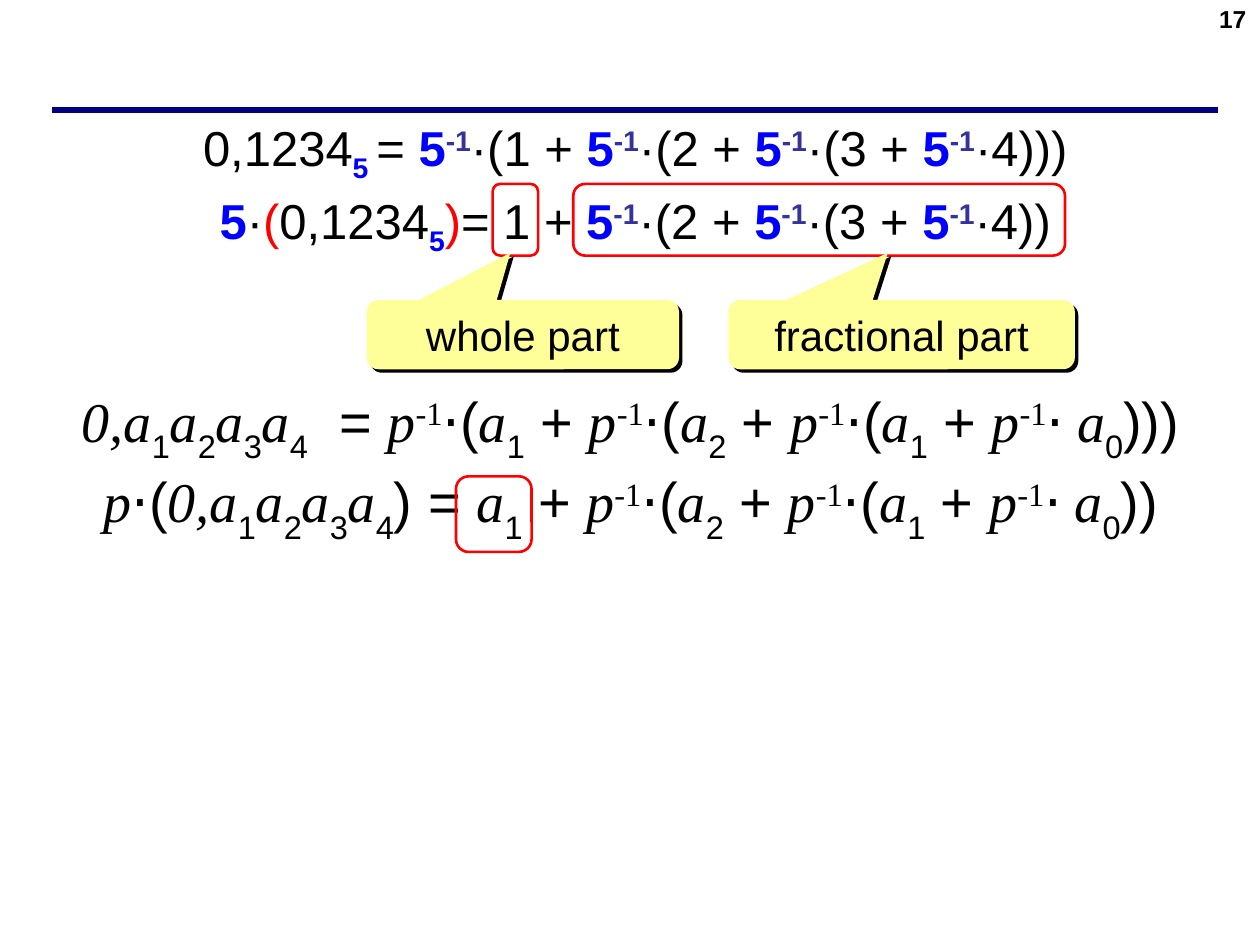
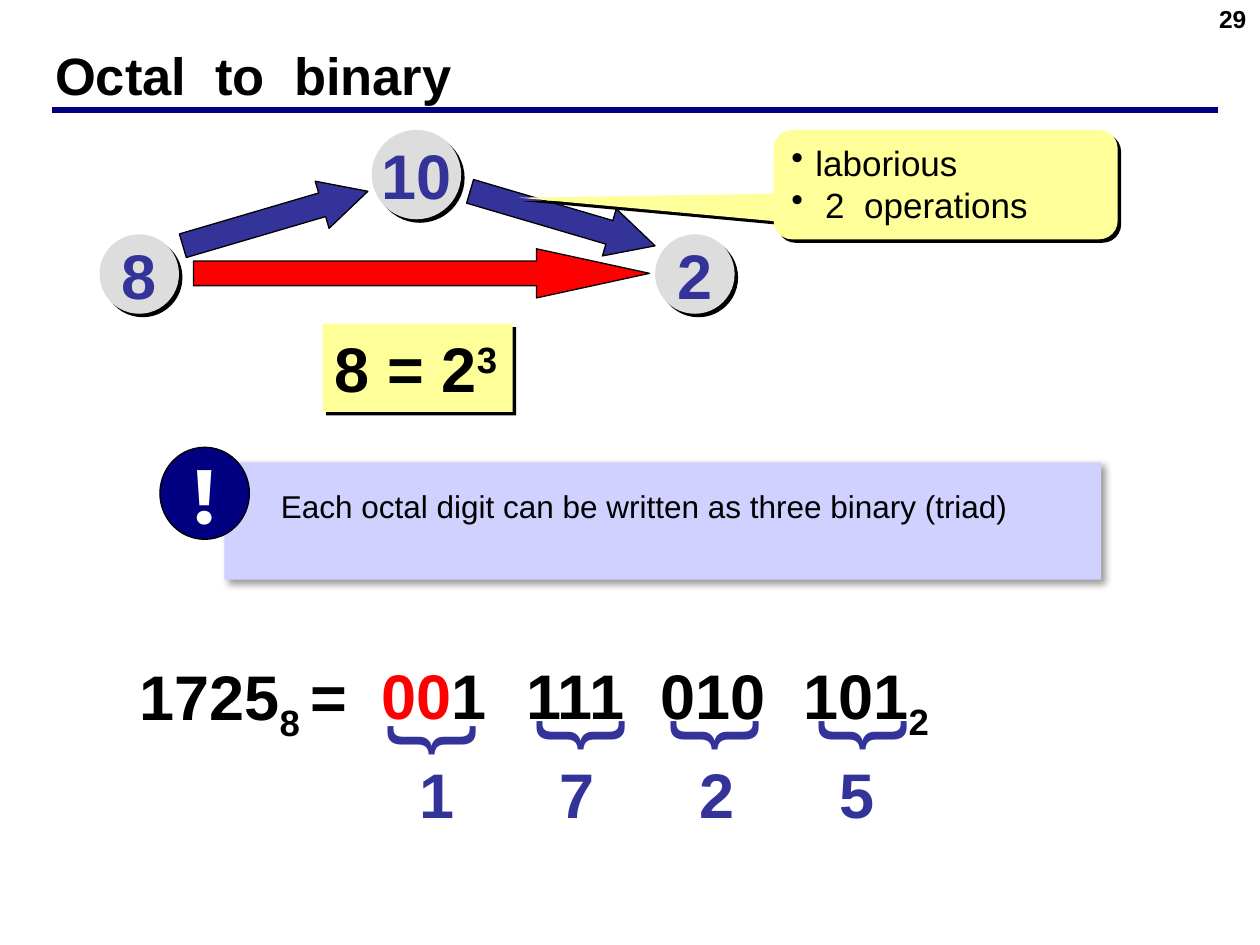
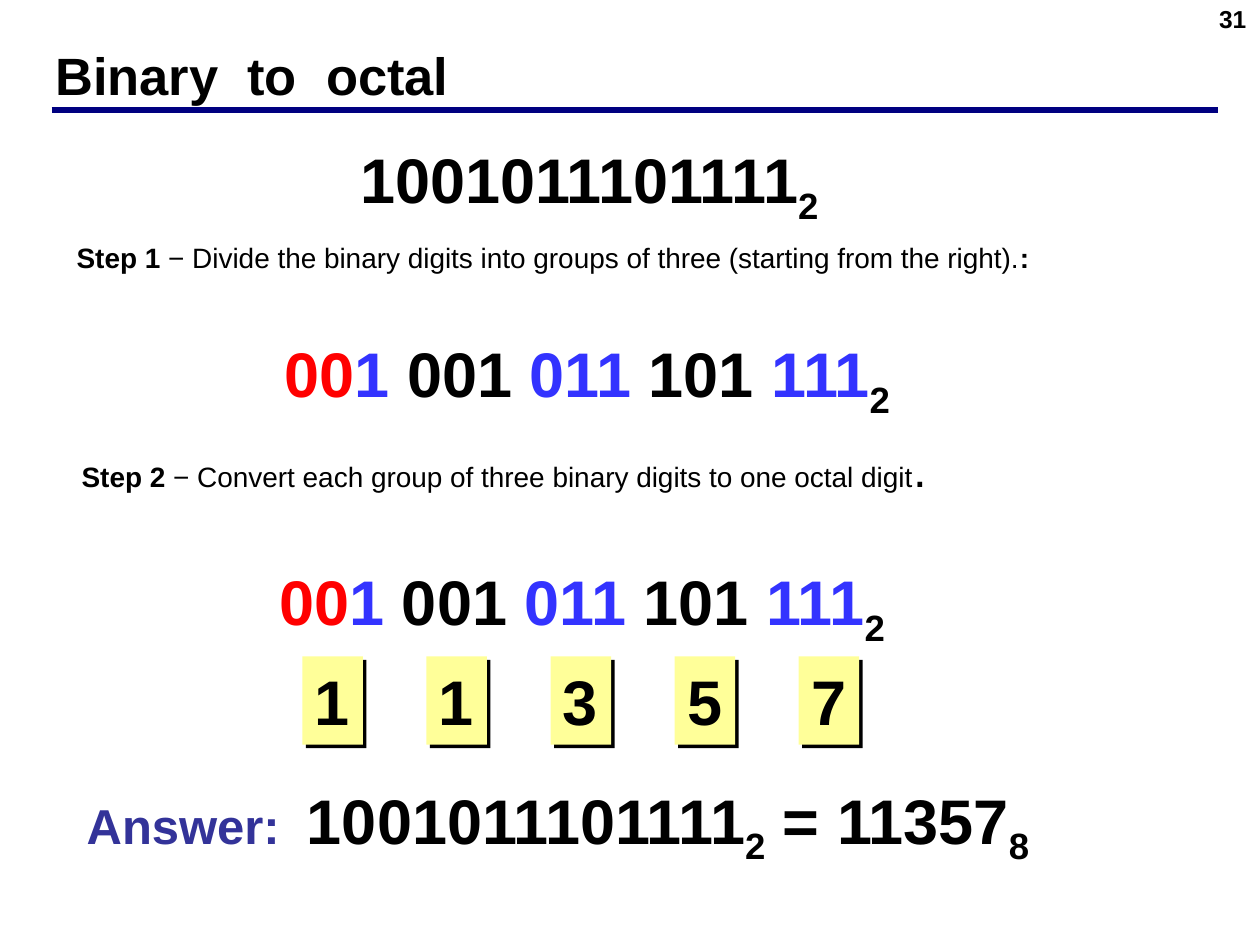
"""Build three slides on converting numbers between positional systems."""
from lxml.etree import SubElement
from pptx import Presentation
from pptx.dml.color import RGBColor
from pptx.enum.shapes import MSO_CONNECTOR, MSO_SHAPE as SHAPE
from pptx.enum.text import MSO_ANCHOR as ANCHOR, PP_ALIGN as ALIGN
from pptx.oxml.ns import qn
from pptx.util import Pt

rgb = RGBColor.from_string
BLACK, WHITE, RED, BLUE = "000000", "FFFFFF", "FF0000", "0000FF"
NAVY, INDIGO, BRIGHT = "000080", "333399", "3333FF"
YELLOW, GREY, LILAC = "FFFF99", "DDDDDD", "D1D1FF"
HARD, SOFT = (100, 0, 2.8), (40, 4, 3)


def box(s, x, y, w, h, kind=None, fill=None, line=None, weight=0.75, shadow=None, adj=(), rot=0):
    """Add a text box, or a preset shape when a kind is given."""
    size = Pt(x), Pt(y), Pt(w), Pt(h)
    if kind is None:
        sp = s.shapes.add_textbox(*size)
    else:
        sp = s.shapes.add_shape(kind, *size)
        sp.shadow.inherit = False
        for i, value in enumerate(adj):
            sp.adjustments[i] = value
        if fill:
            sp.fill.solid()
            sp.fill.fore_color.rgb = rgb(fill)
        else:
            sp.fill.background()
        if line:
            sp.line.color.rgb = rgb(line)
            sp.line.width = Pt(weight)
        else:
            sp.line.fill.background()
    if shadow:
        alpha, blur, dist = shadow
        effects = sp._element.spPr.find(qn("a:effectLst"))
        outer = SubElement(effects, qn("a:outerShdw"), blurRad=str(Pt(blur)), dist=str(Pt(dist)),
                           dir="2700000", algn="ctr", rotWithShape="0")
        color = SubElement(outer, qn("a:srgbClr"), val=BLACK)
        SubElement(color, qn("a:alpha"), val=str(alpha * 1000))
    sp.rotation = rot
    return sp


def write(sp, text, align=ALIGN.LEFT, anchor=ANCHOR.TOP, wrap=True, inset=None, bullet=0, tabs=(), **fmt):
    """Write lines of text, each a string or a list of (text, format) runs."""
    tf = sp.text_frame
    tf.word_wrap = wrap
    tf.vertical_anchor = anchor
    if inset is not None:
        tf.margin_left = tf.margin_right = Pt(inset)
        tf.margin_top = tf.margin_bottom = 0
    for i, line in enumerate(text if isinstance(text, tuple) else (text,)):
        p = tf.add_paragraph() if i else tf.paragraphs[0]
        p.alignment = align
        pPr = p._p.get_or_add_pPr()
        if bullet:
            pPr.set("marL", str(Pt(bullet)))
            pPr.set("indent", str(-Pt(bullet)))
            SubElement(pPr, qn("a:buChar"), char="•")
        if tabs:
            stops = SubElement(pPr, qn("a:tabLst"))
            for tab in tabs:
                SubElement(stops, qn("a:tab"), pos=str(Pt(tab)), algn="l")
        for part, own in [(line, {})] if isinstance(line, str) else line:
            f = {"size": 36, "color": BLACK, "bold": False, "italic": False, "font": "Arial", "base": 0} | fmt | own
            r = p.add_run()
            r.text = part
            r.font.size, r.font.name = Pt(f["size"]), f["font"]
            r.font.bold, r.font.italic = f["bold"], f["italic"]
            r.font.color.rgb = rgb(f["color"])
            if f["base"]:
                r.font._element.set("baseline", str(f["base"] * 1000))


prs = Presentation()
prs.slide_width, prs.slide_height = Pt(720), Pt(540)
slides = []
for number, title in (17, ""), (29, "Octal  to  binary"), (31, "Binary  to  octal"):
    s = prs.slides.add_slide(prs.slide_layouts[6])
    rule = s.shapes.add_connector(MSO_CONNECTOR.STRAIGHT, Pt(29.5), Pt(62.8), Pt(696.2), Pt(62.8))
    rule.line.color.rgb = rgb(NAVY)
    rule.line.width = Pt(3)
    SubElement(rule._element.spPr, qn("a:effectLst"))
    if title:
        write(box(s, 24.5, 23.8, 659.5, 37.4), title, anchor=ANCHOR.MIDDLE, size=30, bold=True)
    write(box(s, 551.5, -1.4, 167.8, 37.4), str(number), align=ALIGN.RIGHT, size=14, bold=True)
    slides.append(s)
horner, to_binary, to_octal = slides

sub = {"base": -25}
digit = {"color": BLUE, "bold": True}
index = digit | sub
power = [("5", digit), ("-1", {"color": INDIGO, "bold": True, "base": 30})]
tail = power + [("·(2 + ", {})] + power + [("·(3 + ", {})] + power
number_rows = [
    [("0,1234", {}), ("5 ", index), ("= ", {})] + power + [("·(1 + ", {})] + tail + [("·4)))", {})],
    [("5", digit), ("·", {}), ("(", {"color": RED}), ("0,1234", {}), ("5", index), (")", {"color": RED}),
     ("= 1 + ", {})] + tail + [("·4))", {})],
]
for y, row in zip((63.4, 105.1), number_rows):
    write(box(horner, 31, y, 664, 41), row, align=ALIGN.CENTER, size=28)

parts = (281.5, 26, 209.5, 178.5, "whole part"), (327.6, 281, 416.2, 198, "fractional part")
for frame_x, frame_w, note_x, note_w, label in parts:
    box(horner, frame_x, 105.1, frame_w, 41, SHAPE.ROUNDED_RECTANGLE, line=RED, weight=1.5)
    note = box(horner, note_x, 171.4, note_w, 39.6, SHAPE.ROUNDED_RECTANGULAR_CALLOUT, YELLOW,
               shadow=HARD, adj=(-0.04, -1.18, 0.17))
    write(note, label, align=ALIGN.CENTER, size=24)

var = {"font": "Times New Roman", "italic": True}
low, dot = {"base": -30}, {"font": "Calibri"}
p_power = [("p", var), ("-1", {"font": "Times New Roman", "base": 30})]
fraction = [("0,a", var), ("1", low)]
for n in "234":
    fraction += [("a", var), (n, low)]
nested = []
for n in "21":
    nested += p_power + [("⋅", dot), ("(", {}), ("a", var), (n, low), (" + ", {})]
nested += p_power + [("⋅ ", dot), ("a", var), ("0", low)]
first = [("a", var), ("1", low), (" + ", {})]
letter_rows = [
    (23.8, 220.3, 673, fraction + [("  = ", {})] + p_power + [("⋅", dot), ("(", {})] + first + nested + [(")))", {})]),
    (42.5, 266.4, 635.8, [("p", var), ("⋅", dot), ("(", {})] + fraction + [(") = ", {})] + first + nested + [("))", {})]),
]
for x, y, w, row in letter_rows:
    write(box(horner, x, y, w, 46), row, align=ALIGN.CENTER, anchor=ANCHOR.MIDDLE, wrap=False, size=32)
box(horner, 260.6, 272.2, 43.2, 43.2, SHAPE.ROUNDED_RECTANGLE, line=RED, weight=1.5)

for x, y, d, label in (56.9, 133.9, 45.4, "8"), (212.4, 74.2, 51.1, "10"), (374.4, 133.9, 45.4, "2"):
    write(box(to_binary, x, y, d, d, SHAPE.OVAL, GREY, shadow=HARD), label, align=ALIGN.CENTER,
          anchor=ANCHOR.MIDDLE, wrap=False, color=INDIGO, bold=True)
arrows = (143.3, 69.8, 110.2, 73.6, 0.97, INDIGO), (307.4, 69.8, 110.2, 106.4, 0.97, INDIGO), (226.8, 25.9, 260.6, 90, 2.3, RED)
for x, y, length, rot, head, fill in arrows:
    box(to_binary, x, y, 28.1, length, SHAPE.UP_ARROW, fill, line=BLACK, adj=(0.5, head), rot=rot)

note = box(to_binary, 442.1, 74.2, 196.6, 62.6, SHAPE.ROUNDED_RECTANGULAR_CALLOUT, YELLOW,
           shadow=HARD, adj=(-1.24, 0.12, 0.17))
write(note, ("laborious", "2  operations"), bullet=13.7, size=20)
note.text_frame.paragraphs[1]._p.pPr.set("marL", str(Pt(19.3)))
note.text_frame.paragraphs[1]._p.pPr.set("indent", str(-Pt(19.3)))
write(box(to_binary, 184.3, 185, 108.7, 50.4, SHAPE.RECTANGLE, YELLOW, shadow=HARD),
      [("8 = 2", {}), ("3", {"base": 30})], wrap=False, bold=True)

box(to_binary, 128.2, 264.2, 501.1, 67, SHAPE.RECTANGLE, LILAC, shadow=SOFT)
write(box(to_binary, 91.4, 255.6, 51.1, 52.6, SHAPE.OVAL, NAVY, line=BLACK), "!", align=ALIGN.CENTER,
      anchor=ANCHOR.MIDDLE, wrap=False, size=44, font="Montserrat", color=WHITE, bold=True)
write(box(to_binary, 153.4, 275, 464.4, 28.8), "Each octal digit can be written as three binary (triad)", size=18)

write(box(to_binary, 72.6, 372.2, 135.4, 50.4), [("1725", {}), ("8 ", sub), ("=", {})], wrap=False, bold=True)
write(box(to_binary, 232.6, 428.4, 320.4, 50.4), "1\t7\t2\t5", tabs=(80, 160, 240), color=INDIGO, bold=True)
triads = [
    (216.6, 230.4, 391, [("00", {"color": RED}), ("1", {})]),
    (299.4, 315.4, 388.1, "111"),
    (375.8, 391.7, 388.1, "010"),
    (457.8, 476.6, 388.1, [("101", {}), ("2", sub)]),
]
for x, brace_x, brace_y, triad in triads:
    write(box(to_binary, x, 375.1, 81, 43.2), triad, inset=1.4, bold=True)
    write(box(to_binary, brace_x, brace_y, 18, 64.8, rot=270), "{", wrap=False, inset=0, size=54, color=INDIGO)

binary = [("1001011101111", {}), ("2", sub)]
write(box(to_octal, 198.7, 77, 288, 50.4), binary, wrap=False, bold=True)
step = {"bold": True}
write(box(to_octal, 36.7, 133.9, 661, 26.6),
      [("Step 1", step), (" − Divide the binary digits into groups of three (starting from the right).", {}),
       (":", step)], size=16)
write(box(to_octal, 39.6, 247, 511.2, 41),
      [("Step 2", step), (" − Convert each group of three binary digits to one octal digit", {}),
       (".", {"size": 28})], wrap=False, size=16)
blue = {"color": BRIGHT}
groups = [("00", {"color": RED}), ("1", blue), (" 001 ", {}), ("011", blue), (" 101 ", {}), ("111", blue), ("2", sub)]
for x, y in (155.5, 187.9), (152.6, 318.2):
    write(box(to_octal, x, y, 367.9, 50.4), groups, wrap=False, bold=True)
for i, octal in enumerate("11357"):
    write(box(to_octal, 172.8 + 70.9 * i, 375.1, 34.6, 50.4, SHAPE.RECTANGLE, YELLOW, shadow=HARD),
          octal, wrap=False, bold=True)
write(box(to_octal, 42.5, 442.8, 561.6, 51.1),
      [("Answer:  ", {"size": 28, "color": INDIGO})] + binary + [(" = 11357", {}), ("8", sub)], wrap=False, bold=True)

prs.save("out.pptx")
